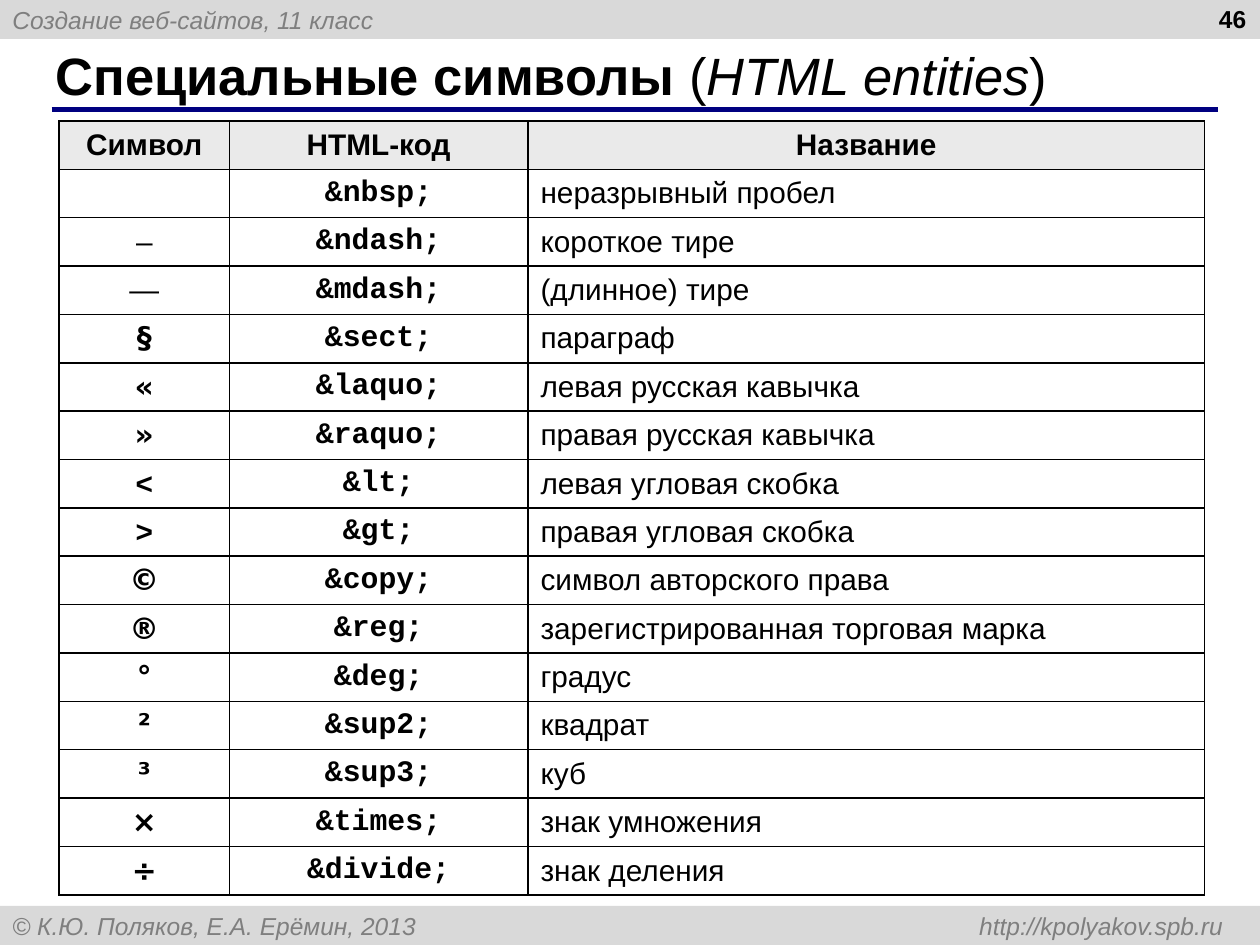
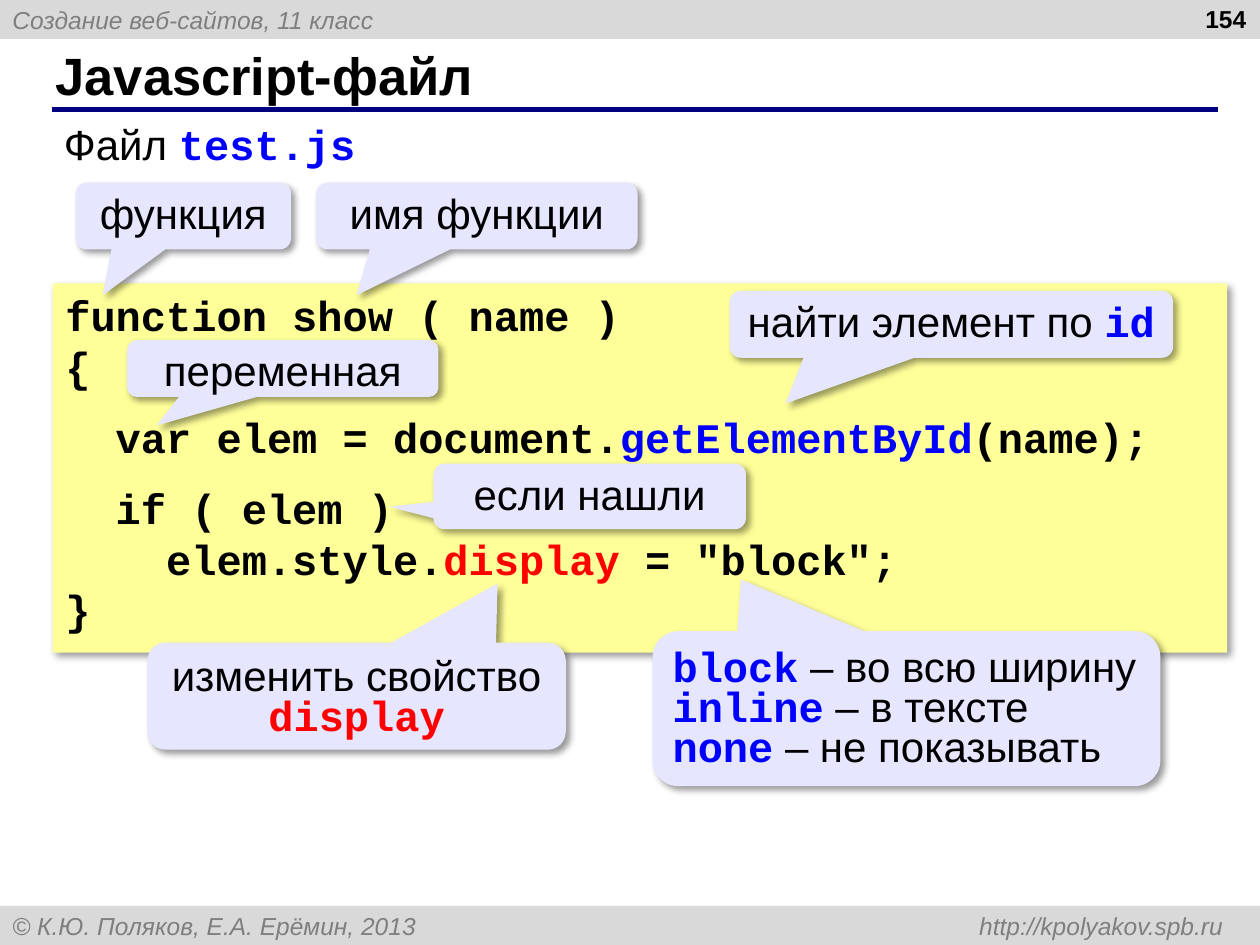
from lxml import etree
from pptx import Presentation
from pptx.dml.color import RGBColor
from pptx.enum.shapes import MSO_CONNECTOR, MSO_SHAPE
from pptx.enum.text import MSO_ANCHOR, MSO_AUTO_SIZE, PP_ALIGN
from pptx.oxml import parse_xml
from pptx.oxml.ns import nsdecls, qn
from pptx.util import Inches, Pt

RECT, CALLOUT = MSO_SHAPE.RECTANGLE, MSO_SHAPE.ROUNDED_RECTANGULAR_CALLOUT
STRAIGHT = MSO_CONNECTOR.STRAIGHT
TOP, MIDDLE = MSO_ANCHOR.TOP, MSO_ANCHOR.MIDDLE
NO_FIT = MSO_AUTO_SIZE.NONE
LEFT, CENTER, RIGHT = PP_ALIGN.LEFT, PP_ALIGN.CENTER, PP_ALIGN.RIGHT

COLORS = {
    "band": "D9D9D9", "muted": "7F7F7F", "rule": "000080", "text": "000000",
    "header": "EAEAEA", "code": "FFFF99", "callout": "E6E6FF",
    "blue": "0000FF", "red": "FF0000",
}
SANS, MONO, SYMBOL = "Arial", "Courier New", "DejaVu Sans"


def font_format(size, name=SANS, color="text", bold=False, italic=False):
    """Return the format values of one kind of run."""
    return {"size": Pt(size), "name": name, "bold": bold, "italic": italic, "color": color}


FORMATS = {
    "band": font_format(14, color="muted", italic=True),
    "page": font_format(14, bold=True),
    "title": font_format(30, bold=True),
    "title plain": font_format(30),
    "title italic": font_format(30, italic=True),
    "cell": font_format(17),
    "cell bold": font_format(17, bold=True),
    "cell code": font_format(17, MONO, bold=True),
    "cell symbol": font_format(17, SYMBOL, bold=True),
    "body": font_format(24),
    "code": font_format(24, MONO, bold=True),
    "code blue": font_format(24, MONO, "blue", True),
    "code red": font_format(24, MONO, "red", True),
}

ENTITIES = [
    ("–", "&ndash;", "короткое тире"),
    ("—", "&mdash;", "(длинное) тире"),
    ("§", "&sect;", "параграф"),
    ("«", "&laquo;", "левая русская кавычка"),
    ("»", "&raquo;", "правая русская кавычка"),
    ("<", "&lt;", "левая угловая скобка"),
    (">", "&gt;", "правая угловая скобка"),
    ("©", "&copy;", "символ авторского права"),
    ("®", "&reg;", "зарегистрированная торговая марка"),
    ("°", "&deg;", "градус"),
    ("²", "&sup2;", "квадрат"),
    ("³", "&sup3;", "куб"),
    ("×", "&times;", "знак умножения"),
    ("÷", "&divide;", "знак деления"),
]
SYMBOL_FORMATS = {"–": "cell", "—": "cell", "<": "cell bold", ">": "cell bold"}

CODE_LINES = [
    [("function show ( name )", "code")],
    [("{", "code")],
    [("  var elem = document.", "code"), ("getElementById", "code blue"), ("(name);", "code")],
    [("  if ( elem )", "code")],
    [("    elem.style.", "code"), ("display", "code red"), (' = "block";', "code")],
    [("}", "code")],
]
SPACED_LINES = {2: 12, 3: 12}

DOWN_LEFT = (-0.374, 1.185)
CALLOUTS = [
    ((5.37, 0.06, 3.52, 0.53), DOWN_LEFT, CENTER,
     [[("найти элемент по ", "body"), ("id", "code blue")]]),
    ((0.18, -0.8, 1.71, 0.53), DOWN_LEFT, CENTER, [[("функция", "body")]]),
    ((2.09, -0.8, 2.55, 0.53), DOWN_LEFT, CENTER, [[("имя функции", "body")]]),
    ((0.59, 0.45, 2.47, 0.45), (-0.406, 1.005), CENTER, [[("переменная", "body")]]),
    ((3.02, 1.43, 2.48, 0.52), (-0.642, 0.157), CENTER, [[("если нашли", "body")]]),
    ((0.75, 2.85, 3.32, 0.85), (0.337, -1.052), CENTER,
     [[("изменить свойство ", "body"), ("display", "code red")]]),
    ((4.76, 2.76, 4.03, 1.23), (-0.326, -0.834), LEFT,
     [[(word, "code blue"), (f" – {meaning}", "body")] for word, meaning in (
         ("block", "во всю ширину"), ("inline", "в тексте"), ("none", "не показывать"))]),
]


def rgb(name):
    """Return the named colour."""
    return RGBColor.from_string(COLORS[name])


def inches(box):
    """Convert a sequence of numbers to lengths."""
    return [Inches(v) for v in box]


def write(tf, lines, align=LEFT, line_spacing=None, space_before=None):
    """Write lines of (text, format name) runs into a text frame."""
    for i, line in enumerate(lines):
        p = tf.paragraphs[0] if i == 0 else tf.add_paragraph()
        p.alignment = align
        if line_spacing:
            p.line_spacing = line_spacing
        if space_before and i in space_before:
            p.space_before = Pt(space_before[i])
        for text, name in line:
            r = p.add_run()
            r.text = text
            for key, value in FORMATS[name].items():
                if key == "color":
                    r.font.color.rgb = rgb(value)
                else:
                    setattr(r.font, key, value)


def add_box(s, kind, box, color, margins=(0.1, 0.05, 0.1, 0.05), anchor=TOP):
    """Add a filled shape without outline and prepare its text frame."""
    sp = s.shapes.add_shape(kind, *inches(box))
    sp.shadow.inherit = False
    sp.fill.solid()
    sp.fill.fore_color.rgb = rgb(color)
    sp.line.fill.background()
    tf = sp.text_frame
    tf.word_wrap = True
    tf.vertical_anchor = anchor
    sides = ("margin_left", "margin_top", "margin_right", "margin_bottom")
    for side, value in zip(sides, inches(margins)):
        setattr(tf, side, value)
    return sp


def add_shadow(sp):
    """Give a shape a soft shadow to the lower right."""
    effects = sp._element.spPr.find(qn("a:effectLst"))
    effects.append(parse_xml(
        f'<a:outerShdw {nsdecls("a")} blurRad="{Pt(4)}" dist="{Pt(3)}" dir="2700000" '
        'algn="tl" rotWithShape="0"><a:srgbClr val="000000"><a:alpha val="40000"/>'
        '</a:srgbClr></a:outerShdw>'))


def add_text(s, box, lines, align=LEFT, wrap=True):
    """Add a plain text box."""
    tf = s.shapes.add_textbox(*inches(box)).text_frame
    tf.word_wrap = wrap
    write(tf, lines, align)


def add_band(s, box, text):
    """Add a grey band whose tab stop aligns text to its right end."""
    tf = add_box(s, RECT, box, "band", anchor=MIDDLE).text_frame
    pPr = tf.paragraphs[0]._p.get_or_add_pPr()
    tabs = etree.SubElement(pPr, qn("a:tabLst"))
    etree.SubElement(tabs, qn("a:tab"), pos=str(Inches(box[2] - 0.39)), algn="r")
    write(tf, [[(text, "band")]])


def add_frame(prs, title, page):
    """Add a slide with bands, title, rule and page number."""
    s = prs.slides.add_slide(prs.slide_layouts[5])
    add_band(s, (0, 0, 10, 0.31), "Создание веб-сайтов, 11 класс")
    add_band(s, (0, 7.19, 10, 0.31),
             "© К.Ю. Поляков, Е.А. Ерёмин, 2013\thttp://kpolyakov.spb.ru")
    rule = s.shapes.add_connector(STRAIGHT, *inches((0.41, 0.87, 9.67, 0.87)))
    rule.line.color.rgb = rgb("rule")
    rule.line.width = Pt(3)
    etree.SubElement(rule._element.spPr, qn("a:effectLst"))
    sp = s.shapes.title
    sp.left, sp.top, sp.width, sp.height = inches((0.34, 0.33, 9.16, 0.52))
    tf = sp.text_frame
    tf.auto_size = NO_FIT
    tf.vertical_anchor = MIDDLE
    write(tf, [title])
    add_text(s, (7.66, -0.02, 2.33, 0.52), [[(page, "page")]], RIGHT)
    return s


def format_cell(cell, run, align, header):
    """Write one run into a cell and set its fill and borders."""
    cell.vertical_anchor = MIDDLE
    if header:
        cell.fill.solid()
        cell.fill.fore_color.rgb = rgb("header")
    else:
        cell.fill.background()
    tcPr = cell._tc.get_or_add_tcPr()
    for i, side in enumerate("LRTB"):
        tcPr.insert(i, parse_xml(
            f'<a:ln{side} {nsdecls("a")} w="{Pt(1)}"><a:solidFill>'
            f'<a:srgbClr val="{COLORS["text"]}"/></a:solidFill></a:ln{side}>'))
    write(cell.text_frame, [[run]], align)


def add_entity_table(s, box):
    """Add the table of HTML entities."""
    rows = [[(text, "cell bold") for text in ("Символ", "HTML-код", "Название")]]
    for symbol, code, name in [(" ", "&nbsp;", "неразрывный пробел")] + ENTITIES:
        rows.append([(symbol, SYMBOL_FORMATS.get(symbol, "cell symbol")),
                     (code, "cell code"), (name, "cell")])
    table = s.shapes.add_table(len(rows), 3, *inches(box)).table
    table.first_row = table.horz_banding = False
    for column, width in zip(table.columns, (1.35, 2.37, box[2] - 3.72)):
        column.width = Inches(width)
    for i, row in enumerate(rows):
        table.rows[i].height = Inches(box[3] / len(rows))
        for j, run in enumerate(row):
            align = LEFT if i and j == 2 else CENTER
            format_cell(table.cell(i, j), run, align, i == 0)


def add_callout(s, box, tip, align, lines):
    """Add a rounded callout whose tip is relative to its centre."""
    sp = add_box(s, CALLOUT, box, "callout", (0.1, 0.09, 0.1, 0.05))
    add_shadow(sp)
    for i, value in enumerate((*tip, 0.167)):
        sp.adjustments[i] = value
    write(sp.text_frame, lines, align, line_spacing=0.8)


def add_code_panel(s, box):
    """Add the code listing and the callouts that explain it."""
    sp = add_box(s, RECT, box, "code", (0.1, 0.05, 0, 0.05))
    add_shadow(sp)
    write(sp.text_frame, CODE_LINES, space_before=SPACED_LINES)
    for (x, y, w, h), tip, align, lines in CALLOUTS:
        add_callout(s, (box[0] + x, box[1] + y, w, h), tip, align, lines)


def main():
    """Build and save the presentation."""
    prs = Presentation()
    prs.slide_width, prs.slide_height = inches((10, 7.5))

    s = add_frame(prs, [("Специальные символы ", "title"), ("(", "title plain"),
                        ("HTML entities", "title italic"), (")", "title plain")], "46")
    add_entity_table(s, (0.47, 0.96, 9.09, 6.13))

    s = add_frame(prs, [("Javascript-файл", "title")], "154")
    add_text(s, (0.41, 0.89, 2.74, 0.51),
             [[("Файл ", "body"), ("test.js", "code blue")]], wrap=False)
    add_code_panel(s, (0.42, 2.25, 9.32, 2.93))

    prs.save("out.pptx")


if __name__ == "__main__":
    main()
